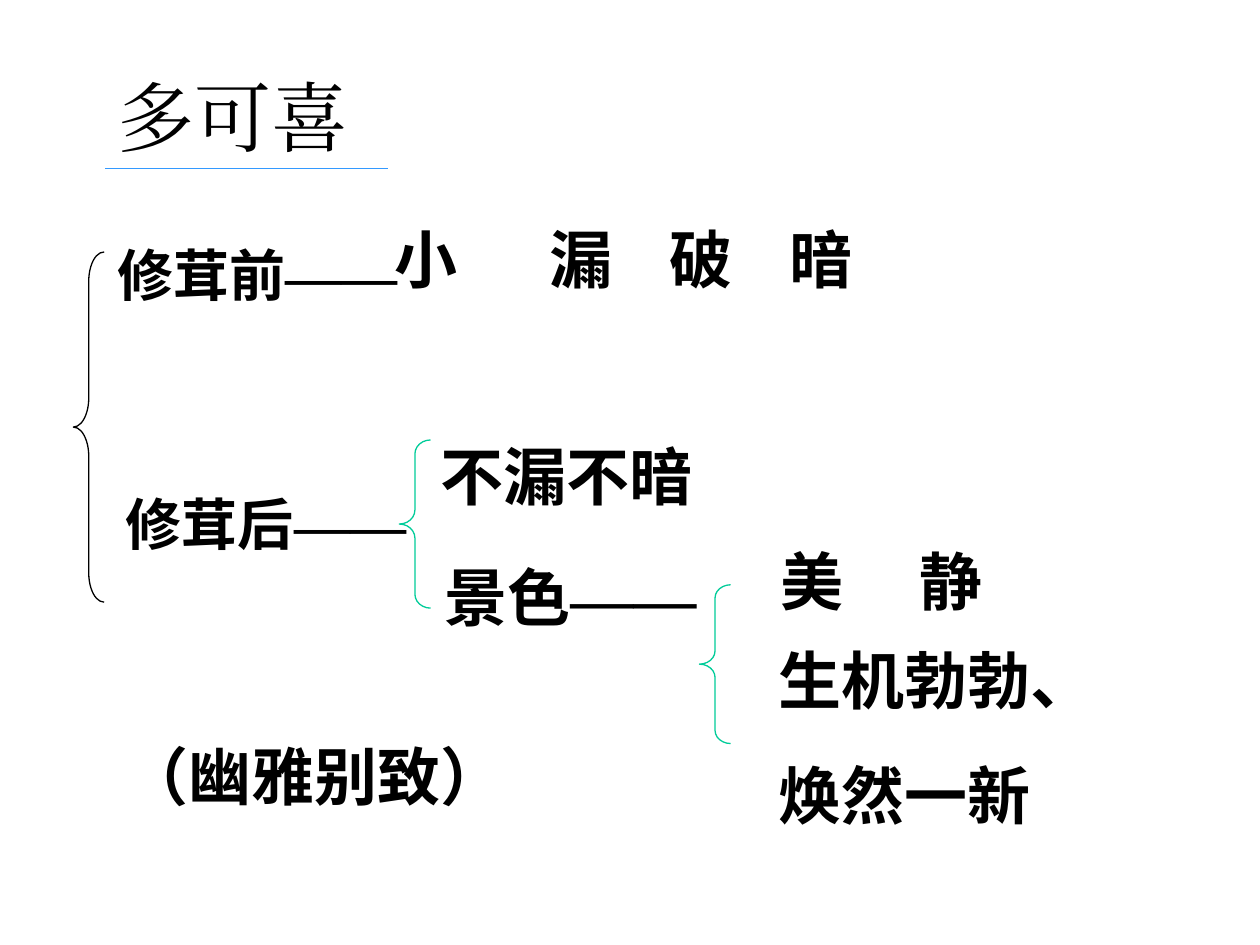
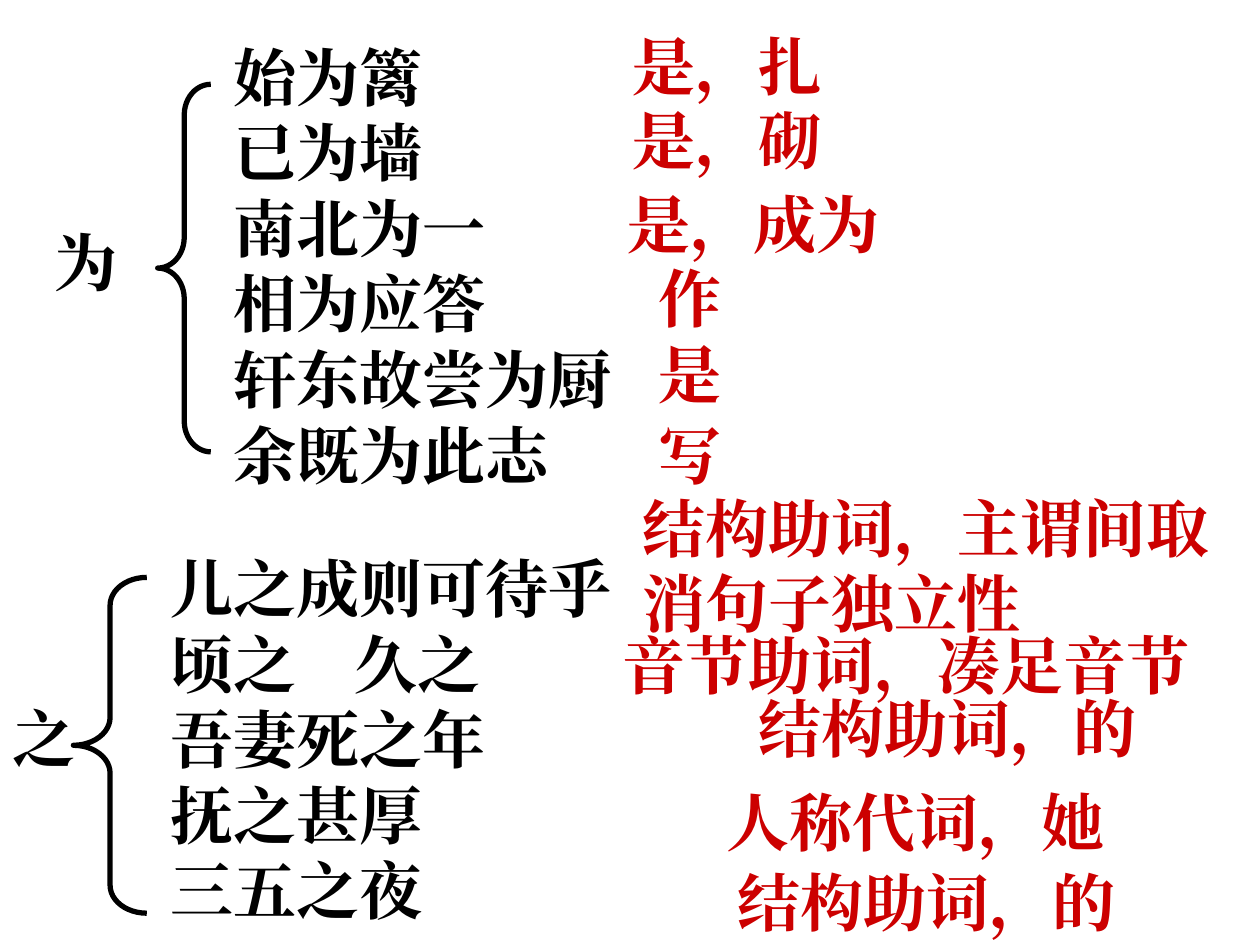
from lxml import etree
from pptx import Presentation
from pptx.dml.color import RGBColor
from pptx.enum.shapes import MSO_CONNECTOR, MSO_SHAPE
from pptx.enum.text import MSO_ANCHOR, MSO_AUTO_SIZE, PP_ALIGN
from pptx.oxml.ns import qn
from pptx.util import Cm, Pt

LEFT = PP_ALIGN.LEFT
TOP = MSO_ANCHOR.TOP
NO_FIT = MSO_AUTO_SIZE.NONE
BRACE = MSO_SHAPE.LEFT_BRACE
STRAIGHT = MSO_CONNECTOR.STRAIGHT

BLACK = RGBColor(0x00, 0x00, 0x00)
GREEN = RGBColor(0x00, 0xCC, 0x99)
BLUE = RGBColor(0x33, 0x99, 0xFF)
RED = RGBColor(0xCC, 0x00, 0x00)

SANS = "Arial"
SERIF = "Times New Roman"
SLIDE_W, SLIDE_H = 25.4, 19.05
LINE_RATIO = 1.2
CM_PER_PT = 2.54 / 72
INSET_V = 0.13

TITLE_ONLY, BLANK = 5, 6


def add_run(p, text, font, size, color=BLACK, bold=True):
    r = p.add_run()
    r.text = text
    r.font.name = font
    r.font.size = Pt(size)
    r.font.bold = bold
    r.font.color.rgb = color
    rPr = r._r.get_or_add_rPr()
    rPr.set("lang", "zh-CN")
    latin = rPr.find(qn("a:latin"))
    latin.addnext(etree.Element(qn("a:ea"), typeface=font))


def set_frame(tf):
    tf.word_wrap = True
    tf.auto_size = NO_FIT
    tf.vertical_anchor = TOP
    tf.margin_left = tf.margin_right = Cm(0.25)
    tf.margin_top = tf.margin_bottom = Cm(INSET_V)


def set_paragraph(p, size, before=0):
    p.alignment = LEFT
    p.line_spacing = Pt(size * LINE_RATIO)
    p.space_before = Pt(before)


def add_tab_stop(p, position):
    tabs = etree.SubElement(p._p.get_or_add_pPr(), qn("a:tabLst"))
    etree.SubElement(tabs, qn("a:tab"), pos=str(Cm(position)), algn="l")


def add_text(s, x, y, w, lines, font=SANS, size=36, color=BLACK, gap=0, dash="", tab=None):
    h = (len(lines) * size * LINE_RATIO + (len(lines) - 1) * gap) * CM_PER_PT + 2 * INSET_V
    tf = s.shapes.add_textbox(Cm(x), Cm(y), Cm(w), Cm(h)).text_frame
    set_frame(tf)
    for i, line in enumerate(lines):
        p = tf.add_paragraph() if i else tf.paragraphs[0]
        set_paragraph(p, size, gap if i else 0)
        if tab and "\t" in line:
            add_tab_stop(p, tab)
        add_run(p, line, font, size, color)
    if dash:
        add_run(p, dash, SERIF, size, color)


def add_brace(s, x, y, w, h, color, weight):
    sp = s.shapes.add_shape(BRACE, Cm(x), Cm(y), Cm(w), Cm(h))
    sp.adjustments[0] = h / 12 / w
    sp.shadow.inherit = False
    sp.fill.background()
    sp.line.color.rgb = color
    sp.line.width = Pt(weight)


def title_block(s, text, x, y, w, h):
    sp = s.shapes.title
    sp.left, sp.top, sp.width, sp.height = Cm(x), Cm(y), Cm(w), Cm(h)
    set_frame(sp.text_frame)
    p = sp.text_frame.paragraphs[0]
    set_paragraph(p, 44)
    add_run(p, text, SERIF, 44, bold=False)
    line_y = Cm(y + h)
    line = s.shapes.add_connector(STRAIGHT, Cm(x), line_y, Cm(x + 5.7), line_y)
    line.line.color.rgb = BLUE
    line.line.width = Pt(0.75)
    etree.SubElement(line._element.spPr, qn("a:effectLst"))


def before_repair(s, x, y):
    add_text(s, x, y + 0.4, 7.4, ["修茸前"], size=32, dash="——")
    add_text(s, x + 5.59, y, 2.2, ["小"])
    for i, fault in enumerate("漏破暗"):
        add_text(s, x + 8.71 + 2.42 * i, y, 2.2, [fault])


def after_repair(s, x, y):
    add_text(s, x, y + 1.04, 6.4, ["修茸后"], size=32, dash="——")
    add_brace(s, x + 5.76, y + 0.18, 0.63, 3.39, GREEN, 0.75)
    add_text(s, x + 6.35, y, 9, ["不漏不暗"])
    add_text(s, x + 6.42, y + 2.44, 5.8, ["景色"], dash="——")


def scenery(s, x, y):
    add_brace(s, x, y + 0.99, 0.63, 3.2, GREEN, 0.75)
    for i, quality in enumerate("美静"):
        add_text(s, x + 1.39 + 2.8 * i, y, 2.2, [quality])
    add_text(s, x + 1.34, y + 2, 9.96, ["生机勃勃、", "焕然一新"], gap=22.5)


def joy_slide(prs):
    s = prs.slides.add_slide(prs.slide_layouts[TITLE_ONLY])
    title_block(s, "多可喜", 2.12, 1.27, 7, 2.12)
    add_brace(s, 1.48, 5.08, 0.62, 7.06, BLACK, 0.75)
    before_repair(s, 2.11, 4.32)
    after_repair(s, 2.29, 8.69)
    scenery(s, 14.1, 10.8)
    add_text(s, 2.29, 14.73, 8.41, ["（幽雅别致）"])


def word_group(s, word, word_at, brace_box, phrases_at, phrases):
    add_text(s, *word_at, 1.8, [word], SERIF)
    add_brace(s, *brace_box, BLACK, 3)
    add_text(s, *phrases_at, 11.5, phrases, SERIF, tab=3.71)


def meanings(s, notes):
    for x, y, text in notes:
        add_text(s, x, y, SLIDE_W - x, [text], SERIF, color=RED)


def word_slide(prs):
    s = prs.slides.add_slide(prs.slide_layouts[BLANK])
    word_group(s, "为", (0.84, 4.37), (3.18, 1.7, 1.07, 7.41), (4.45, 0.64),
               ["始为篱", "已为墙", "南北为一", "相为应答", "轩东故尝为厨", "余既为此志"])
    word_group(s, "之", (0, 13.97), (1.48, 11.64, 1.48, 6.77), (3.18, 10.95),
               ["儿之成则可待乎", "顷之\t久之", "吾妻死之年", "抚之甚厚", "三五之夜"])
    meanings(s, [
        (12.5, 0.43, "是，扎"),
        (12.5, 1.91, "是，砌"),
        (12.4, 3.61, "是，成为"),
        (13.03, 5.11, "作"),
        (13.03, 6.63, "是"),
        (13.03, 8.26, "写"),
        (12.7, 9.73, "结构助词，主谓间取消句子独立性"),
        (12.29, 12.5, "音节助词，凑足音节"),
        (15.04, 13.77, "结构助词，的"),
        (14.4, 15.67, "人称代词，她"),
        (14.61, 17.27, "结构助词，的"),
    ])


def main():
    prs = Presentation()
    prs.slide_width, prs.slide_height = Cm(SLIDE_W), Cm(SLIDE_H)
    joy_slide(prs)
    word_slide(prs)
    prs.save("out.pptx")


if __name__ == "__main__":
    main()
